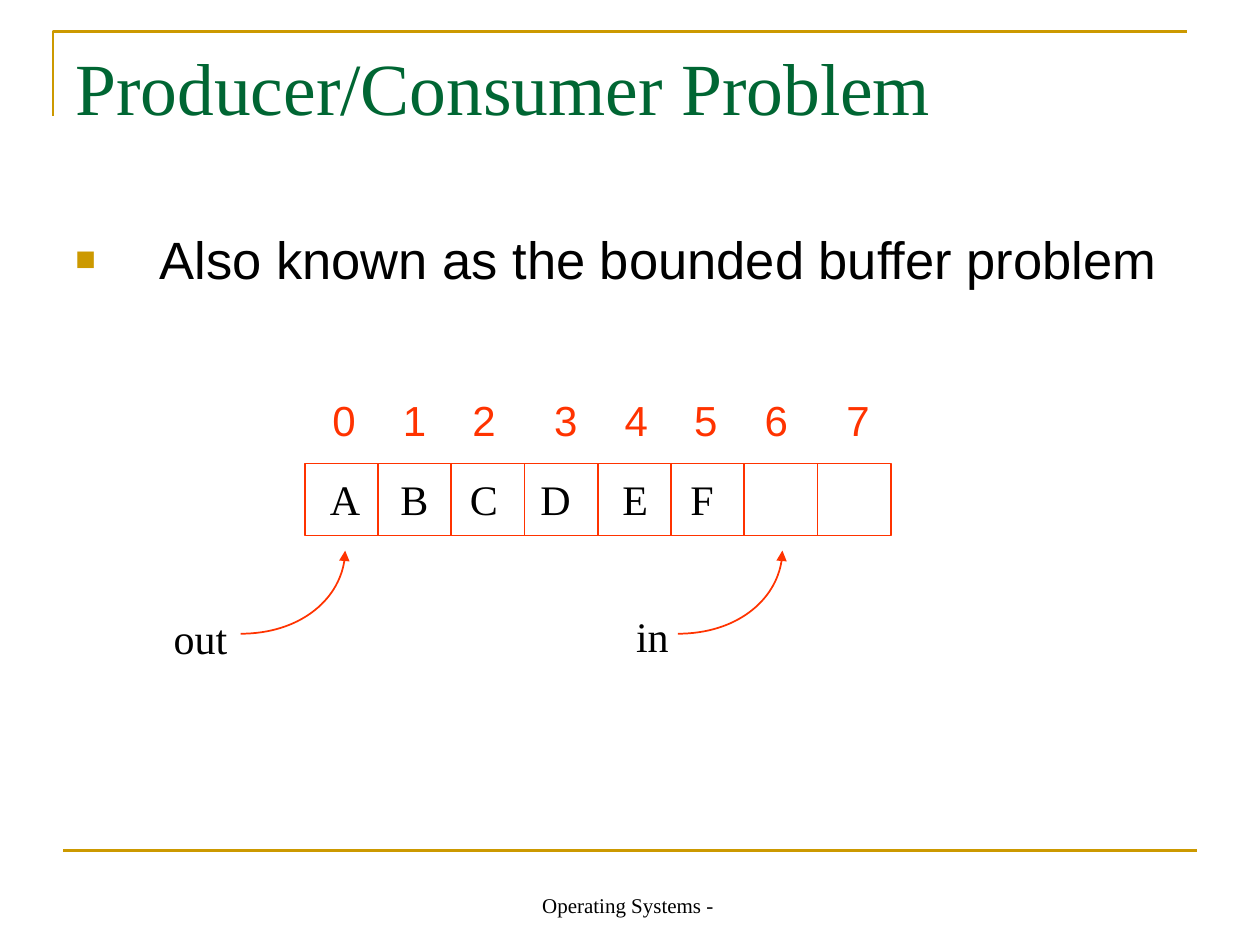
from lxml import etree
from pptx import Presentation
from pptx.dml.color import RGBColor
from pptx.enum.shapes import MSO_CONNECTOR, MSO_SHAPE
from pptx.enum.text import MSO_ANCHOR, PP_ALIGN
from pptx.oxml.ns import qn
from pptx.util import Inches, Pt

STRAIGHT = MSO_CONNECTOR.STRAIGHT
RECTANGLE = MSO_SHAPE.RECTANGLE
MIDDLE, BOTTOM = MSO_ANCHOR.MIDDLE, MSO_ANCHOR.BOTTOM
CENTER = PP_ALIGN.CENTER
GOLD, GREEN, RED, BLACK = "CC9900", "006633", "FF3300", "000000"
SERIF, SANS = "Times New Roman", "Arial"

prs = Presentation()
prs.slide_width, prs.slide_height = Inches(10), Inches(7.5)
slide = prs.slides.add_slide(prs.slide_layouts[6])


def add_text(text, left, top, width, height, size, font, color, wrap=False):
    """Add a text box; one that does not wrap gets no right margin, so its line fits."""
    box = slide.shapes.add_textbox(Inches(left), Inches(top), Inches(width), Inches(height))
    frame = box.text_frame
    frame.word_wrap = wrap
    if not wrap:
        frame.margin_right = 0
    frame.text = text
    run_font = frame.paragraphs[0].runs[0].font
    run_font.size, run_font.name = Pt(size), font
    run_font.color.rgb = RGBColor.from_string(color)
    return frame


def style_line(shape, color, width):
    """Set the outline and switch off the theme shadow."""
    shape.line.color.rgb = RGBColor.from_string(color)
    shape.line.width = Pt(width)
    properties = shape._element.spPr
    if properties.find(qn("a:effectLst")) is None:
        etree.SubElement(properties, qn("a:effectLst"))


# Gold frame lines
corner_builder = slide.shapes.build_freeform(Inches(0.42), Inches(0.92))
corner_builder.add_line_segments(
    [(Inches(0.42), Inches(0.25)), (Inches(9.42), Inches(0.25))], close=False)
corner = corner_builder.convert_to_shape()
corner.fill.background()
style_line(corner, GOLD, 1.5)
footer_rule = slide.shapes.add_connector(
    STRAIGHT, Inches(0.5), Inches(6.75), Inches(9.5), Inches(6.75))
style_line(footer_rule, GOLD, 1.5)

# Footer, title and bullet
footer = add_text("Operating Systems - ", 3.42, 6.83, 3.17, 0.5, 12, SERIF, BLACK, wrap=True)
footer.vertical_anchor = BOTTOM
footer.paragraphs[0].alignment = CENTER
title = add_text("Producer/Consumer Problem", 0.5, 0.06, 9, 1.25, 42, SERIF, GREEN, wrap=True)
title.vertical_anchor = MIDDLE

body = add_text("Also known as the bounded buffer problem",
                0.5, 1.75, 9, 1.28, 30, SANS, BLACK, wrap=True)
body.paragraphs[0].space_before = Pt(7.5)
bullet = body.paragraphs[0]._p.get_or_add_pPr()
bullet.set("marL", str(Inches(0.67)))
bullet.set("indent", str(-Inches(0.67)))
bullet_color = etree.SubElement(bullet, qn("a:buClr"))
etree.SubElement(bullet_color, qn("a:srgbClr"), val=GOLD)
etree.SubElement(bullet, qn("a:buSzPct"), val="65000")
etree.SubElement(bullet, qn("a:buFont"), typeface=SANS)
etree.SubElement(bullet, qn("a:buChar"), char="■")

# Buffer of eight slots
SLOTS = 8
LEFT, TOP, WIDTH, HEIGHT = 2.42, 3.68, 4.65, 0.57
buffer_group = slide.shapes.add_group_shape()
buffer = buffer_group.shapes.add_shape(
    RECTANGLE, Inches(LEFT), Inches(TOP), Inches(WIDTH), Inches(HEIGHT))
buffer.fill.background()
style_line(buffer, RED, 1)
for slot in range(1, SLOTS):
    x = Inches(LEFT + slot * WIDTH / SLOTS)
    divider = buffer_group.shapes.add_connector(
        STRAIGHT, x, Inches(TOP), x, Inches(TOP + HEIGHT))
    style_line(divider, RED, 1)
    if slot == SLOTS // 2:
        divider.begin_connect(buffer, 0)
        divider.end_connect(buffer, 2)

# Slot numbers and contents, spaced by tab stops
slot_rows = [
    ("01234567", 2.54, 3.08, 4.46, SANS, RED, [0.56, 1.11, 1.76, 2.32, 2.87, 3.43, 4.08]),
    ("ABCDEF", 2.52, 3.71, 3.28, SERIF, BLACK, [0.56, 1.11, 1.67, 2.32, 2.86]),
]
for labels, left, top, width, font, color, stops in slot_rows:
    row = add_text("\t".join(labels), left, top, width, 0.5, 24, font, color)
    tab_list = etree.SubElement(row.paragraphs[0]._p.get_or_add_pPr(), qn("a:tabLst"))
    for stop in stops:
        etree.SubElement(tab_list, qn("a:tab"), pos=str(Inches(stop)), algn="l")

# Pointers: quarter-ellipse arrows rising to a slot
ARC_WIDTH, ARC_TOP, ARC_BOTTOM = 0.83, 4.37, 5.03
pointers = [("out", 1.28, 4.81, 0.62, 1.91), ("in", 4.95, 4.8, 0.46, 5.38)]
for name, left, top, width, arc_left in pointers:
    add_text(name, left, top, width, 0.5, 24, SERIF, BLACK)
    tip = arc_left + ARC_WIDTH
    curve_points = [(tip, 4.73), (arc_left + 0.46, ARC_BOTTOM), (arc_left, ARC_BOTTOM)]
    builder = slide.shapes.build_freeform(Inches(tip), Inches(ARC_TOP))
    builder.add_line_segments([(Inches(x), Inches(y)) for x, y in curve_points], close=False)
    arrow = builder.convert_to_shape()
    arrow.fill.background()
    style_line(arrow, RED, 1)
    # Turn the three segments into one Bézier curve
    outline = next(arrow._element.iter(qn("a:path")))
    curve = etree.SubElement(outline, qn("a:cubicBezTo"))
    for segment in outline.findall(qn("a:lnTo")):
        curve.append(segment[0])
        outline.remove(segment)
    etree.SubElement(arrow.line._get_or_add_ln(), qn("a:headEnd"), type="triangle")

prs.save("out.pptx")
